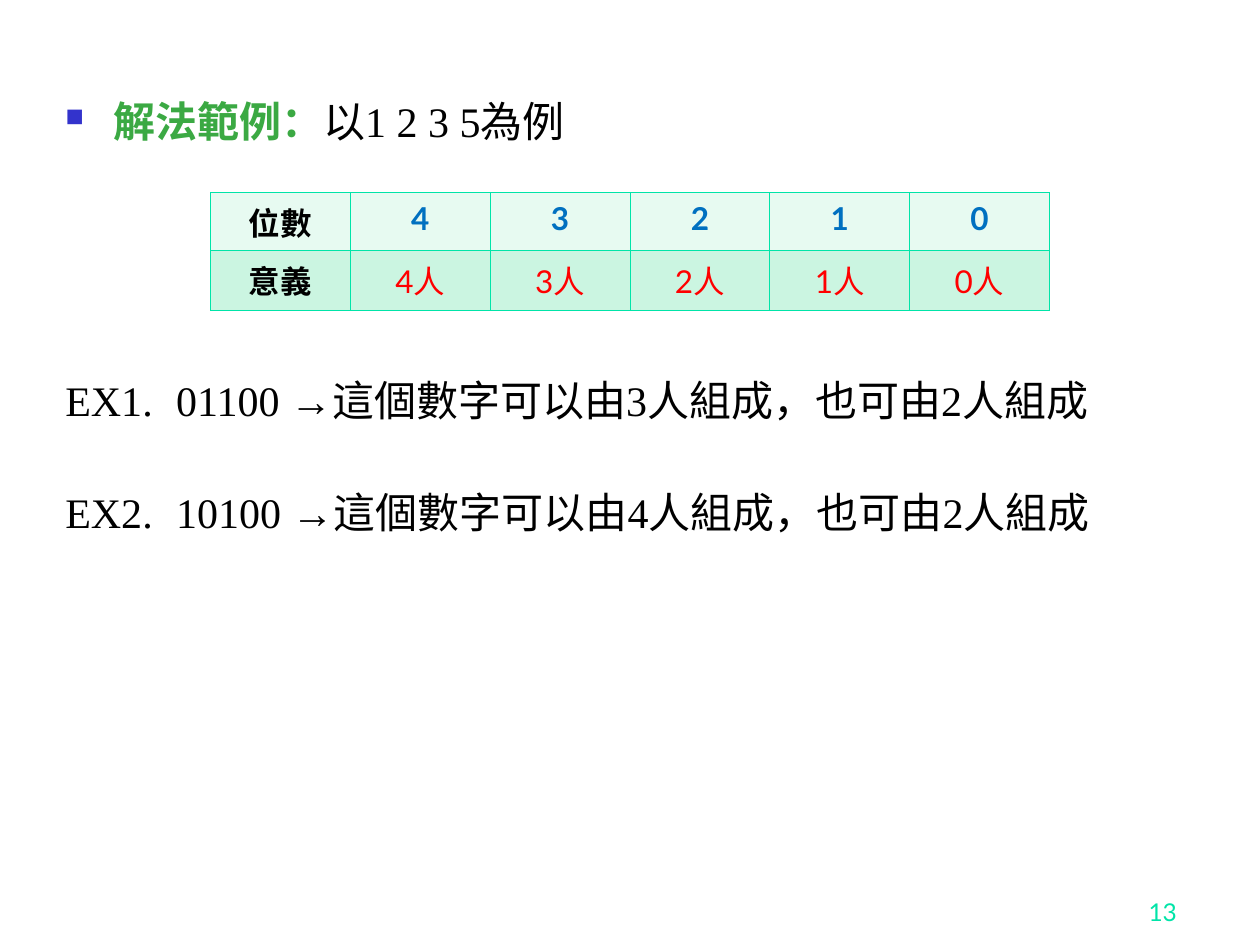
from lxml import etree
from pptx import Presentation
from pptx import util as u
from pptx.dml.color import RGBColor
from pptx.enum import text
from pptx.oxml import ns

BLACK = RGBColor(0x00, 0x00, 0x00)
GREEN = RGBColor(0x3B, 0xA9, 0x43)
BLUE = RGBColor(0x00, 0x70, 0xC0)
RED = RGBColor(0xFF, 0x00, 0x00)
MINT = RGBColor(0x00, 0xE4, 0xA8)
BULLET = RGBColor(0x33, 0x33, 0xCC)
HEAD_FILL = RGBColor(0xE7, 0xFA, 0xF1)
BODY_FILL = RGBColor(0xCB, 0xF5, 0xE1)


def add_xml(parent, tag, **attrs):
    return etree.SubElement(parent, ns.qn(tag), **attrs)


class Deck:
    """Holds the text style and the current slide."""

    body_font = "Times New Roman"
    label_font = "Lato"

    def __init__(self):
        self.prs = Presentation()
        self.prs.slide_width, self.prs.slide_height = u.Inches(10), u.Inches(7.5)
        self.s = self.prs.slides.add_slide(self.prs.slide_layouts[6])

    def style(self, p, name, size, color=None, bold=None):
        p.font.name, p.font.size, p.font.bold = name, u.Pt(size), bold
        if color is not None:
            p.font.color.rgb = color

    def box(self, left, top, width, height):
        sp = self.s.shapes.add_textbox(*map(u.Inches, (left, top, width, height)))
        sp.text_frame.word_wrap = True
        return sp.text_frame

    def line(self, p, runs, before=0, bullet=None, tab=None):
        p.line_spacing = 0.9
        p.space_before = u.Pt(before)
        pPr = p._p.get_or_add_pPr()
        pPr.set("marL", str(u.Inches(0.38)))
        pPr.set("indent", str(u.Inches(-0.38)))
        if bullet:
            add_xml(add_xml(pPr, "a:buClr"), "a:srgbClr", val=str(BULLET))
            add_xml(pPr, "a:buSzPct", val="60000")
            add_xml(pPr, "a:buChar", char=bullet)
        if tab:
            add_xml(add_xml(pPr, "a:tabLst"), "a:tab", pos=str(u.Inches(tab)), algn="l")
        self.style(p, self.body_font, 24)
        for words, color, bold in runs:
            r = p.add_run()
            r.text, r.font.bold, r.font.color.rgb = words, bold, color

    def table(self, left, top, col_width, row_heights, rows, fills, colors):
        tbl = self.s.shapes.add_table(
            len(rows), len(rows[0]), u.Inches(left), u.Inches(top),
            u.Inches(col_width * len(rows[0])), u.Inches(sum(row_heights))).table
        for col in tbl.columns:
            col.width = u.Inches(col_width)
        for i, row in enumerate(rows):
            tbl.rows[i].height = u.Inches(row_heights[i])
            for j, words in enumerate(row):
                color = colors[i] if j else BLACK
                self.cell(tbl.cell(i, j), words, fills[i], color, i == 0 or j == 0)

    def cell(self, cell, words, fill, color, bold):
        tcPr = cell._tc.get_or_add_tcPr()
        for side in ("a:lnL", "a:lnR", "a:lnT", "a:lnB"):
            ln = add_xml(tcPr, side, w=str(u.Pt(0.45)))
            add_xml(add_xml(ln, "a:solidFill"), "a:srgbClr", val=str(MINT))
        cell.fill.solid()
        cell.fill.fore_color.rgb = fill
        p = cell.text_frame.paragraphs[0]
        p.text, p.alignment = words, text.PP_ALIGN.CENTER
        self.style(p, self.label_font, 18, color, bold)

    def page_number(self, number):
        tf = self.box(7.36, 6.9, 2.08, 0.5)
        tf.vertical_anchor = text.MSO_ANCHOR.BOTTOM
        p = tf.paragraphs[0]
        p.text, p.alignment = str(number), text.PP_ALIGN.RIGHT
        self.style(p, self.label_font, 14, MINT)


def main():
    deck = Deck()
    deck.page_number(13)
    tf = deck.box(0.42, 0.75, 9.07, 6.15)
    deck.line(tf.paragraphs[0],
              [("解法範例：", GREEN, True), ("以1 2 3 5為例", BLACK, False)], bullet="■")
    examples = [("EX1.", "01100", 3, 134), ("EX2.", "10100", 4, 38)]
    for label, digits, people, before in examples:
        words = f"{label}\t{digits} →這個數字可以由{people}人組成，也可由2人組成"
        deck.line(tf.add_paragraph(), [(words, BLACK, False)], before, tab=0.94)
    counts = range(4, -1, -1)
    rows = [["位數", *map(str, counts)], ["意義", *(f"{n}人" for n in counts)]]
    deck.table(1.67, 1.53, 1.11, (0.46, 0.47), rows, (HEAD_FILL, BODY_FILL), (BLUE, RED))
    deck.prs.save("out.pptx")


if __name__ == "__main__":
    main()
